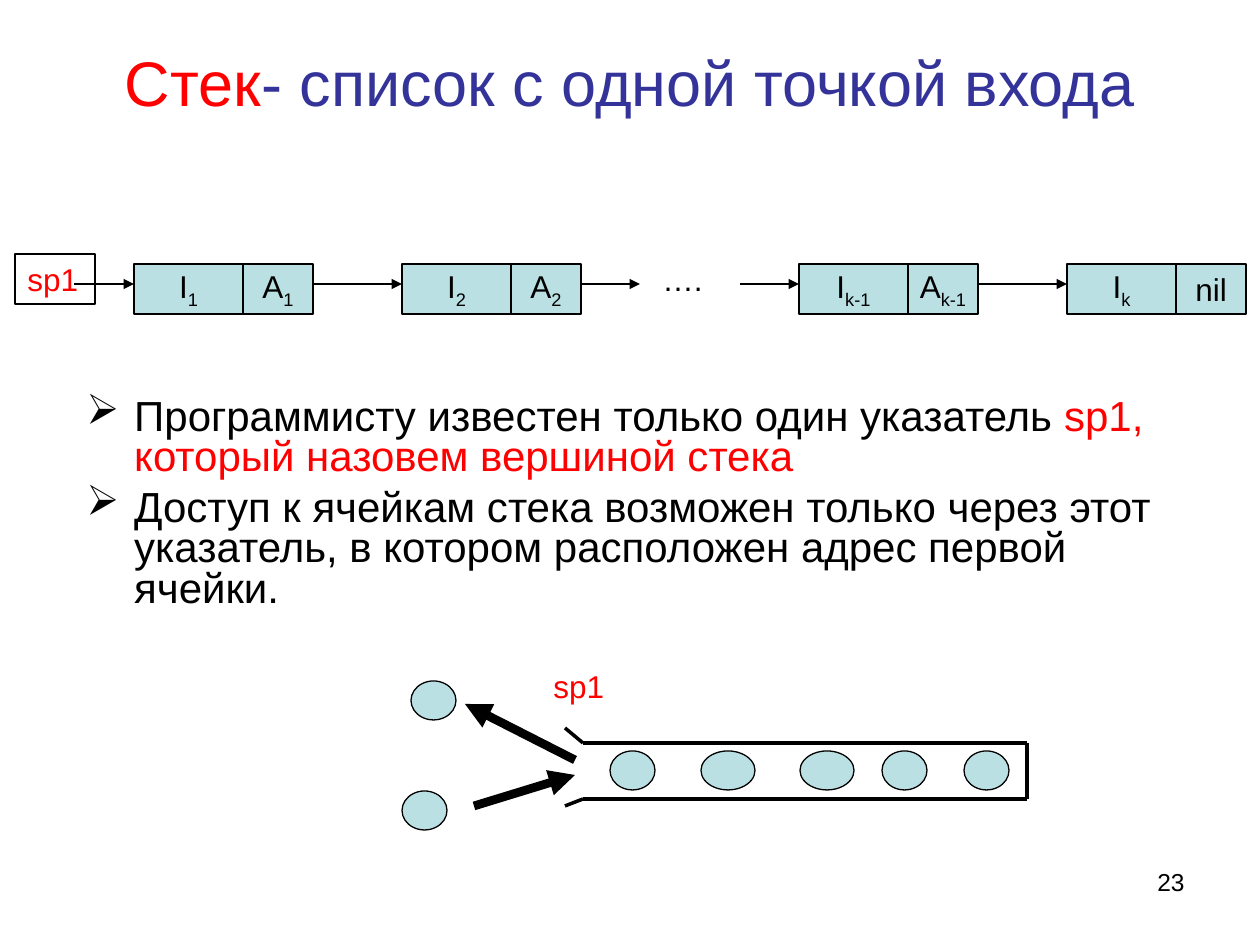
from dataclasses import dataclass

from lxml.etree import SubElement
from pptx import Presentation
from pptx.dml.color import RGBColor
from pptx.enum.shapes import MSO_CONNECTOR, MSO_SHAPE
from pptx.enum.text import MSO_ANCHOR as Anchor, MSO_AUTO_SIZE as AutoSize, PP_ALIGN as Align
from pptx.oxml.ns import qn
from pptx.util import Emu, Inches, Pt

PX_PER_INCH = 126


def px(value: int) -> Emu:
    return Emu(round(value * 914400 / PX_PER_INCH))


@dataclass(frozen=True)
class Theme:
    font: str = "Arial"
    black: RGBColor = RGBColor(0, 0, 0)
    red: RGBColor = RGBColor(0xFF, 0, 0)
    blue: RGBColor = RGBColor(0x33, 0x33, 0x99)
    cell: RGBColor = RGBColor(0xBB, 0xE0, 0xE3)
    title_size: int = 36
    body_size: int = 24
    label_size: int = 18
    number_size: int = 14
    outline: float = 0.75
    pointer: float = 1.5
    wall: float = 2
    move: float = 5


@dataclass(frozen=True)
class Box:
    left: int
    top: int
    width: int
    height: int

    def emu(self) -> tuple[Emu, Emu, Emu, Emu]:
        return px(self.left), px(self.top), px(self.width), px(self.height)


@dataclass(frozen=True)
class Run:
    text: str
    color: RGBColor
    subscript: bool = False


@dataclass(frozen=True)
class Node:
    left: int
    index: str
    link: str


@dataclass(frozen=True)
class Line:
    x1: int
    y1: int
    x2: int
    y2: int


THEME = Theme()
INFO_WIDTH, LINK_WIDTH = 109, 70
CELL_TOP, CELL_HEIGHT = 264, 50
POINTER_Y = 284
BALL_HEIGHT = 39

NODES = [
    Node(134, "1", "A"),
    Node(402, "2", "A"),
    Node(799, "k-1", "A"),
    Node(1067, "k", "nil"),
]
POINTERS = [(74, 134), (313, 402), (581, 640), (740, 799), (978, 1067)]
WALLS = [
    Line(583, 743, 1027, 743),
    Line(583, 799, 1027, 799),
    Line(583, 743, 565, 728),
    Line(583, 799, 565, 806),
    Line(1027, 743, 1027, 799),
]
MOVES = [Line(575, 760, 465, 704), Line(474, 806, 575, 775)]
BALLS = [
    Box(left, top, width, BALL_HEIGHT)
    for left, top, width in [
        (610, 751, 45), (701, 751, 54), (800, 751, 54), (882, 751, 45),
        (964, 751, 45), (411, 681, 45), (402, 791, 45),
    ]
]
BULLETS = [
    [
        Run("Программисту известен только один указатель ", THEME.black),
        Run("sp1, который назовем вершиной стека", THEME.red),
    ],
    [
        Run("Доступ к ячейкам стека возможен только через этот указатель, "
            "в котором расположен адрес первой ячейки.", THEME.black),
    ],
]


def write(paragraph, runs: list[Run], size: int, align: Align = Align.LEFT) -> None:
    paragraph.alignment = align
    paragraph.font.name = THEME.font
    paragraph.font.size = Pt(size)
    for item in runs:
        run = paragraph.add_run()
        run.text = item.text
        run.font.color.rgb = item.color
        if item.subscript:
            run.font._element.set("baseline", "-25000")


def style_shape(shape, filled: bool = True) -> None:
    shape.shadow.inherit = False
    if filled:
        shape.fill.solid()
        shape.fill.fore_color.rgb = THEME.cell
    else:
        shape.fill.background()
    shape.line.color.rgb = THEME.black
    shape.line.width = Pt(THEME.outline)


def add_cell(shapes, box: Box, runs: list[Run]) -> None:
    shape = shapes.add_shape(MSO_SHAPE.RECTANGLE, *box.emu())
    style_shape(shape)
    frame = shape.text_frame
    frame.word_wrap = False
    frame.vertical_anchor = Anchor.MIDDLE
    write(frame.paragraphs[0], runs, THEME.label_size, Align.CENTER)


def add_node(shapes, node: Node) -> None:
    """Draw a list cell: its information field and its link field."""
    index = Run(node.index, THEME.black, subscript=True)
    link = [Run(node.link, THEME.black)]
    if node.link != "nil":
        link.append(index)
    add_cell(shapes, Box(node.left, CELL_TOP, INFO_WIDTH, CELL_HEIGHT),
             [Run("I", THEME.black), index])
    add_cell(shapes, Box(node.left + INFO_WIDTH, CELL_TOP, LINK_WIDTH, CELL_HEIGHT), link)


def add_line(shapes, line: Line, width: float, arrow: bool = False) -> None:
    connector = shapes.add_connector(
        MSO_CONNECTOR.STRAIGHT, px(line.x1), px(line.y1), px(line.x2), px(line.y2))
    connector.line.color.rgb = THEME.black
    connector.line.width = Pt(width)
    if arrow:
        SubElement(connector.line._get_or_add_ln(), qn("a:tailEnd"), type="triangle")
    SubElement(connector._element.spPr, qn("a:effectLst"))


def add_label(shapes, box: Box, run: Run, size: int = THEME.label_size,
              align: Align = Align.LEFT):
    label = shapes.add_textbox(*box.emu())
    label.text_frame.word_wrap = True
    write(label.text_frame.paragraphs[0], [run], size, align)
    return label


def add_bullets(shapes, box: Box) -> None:
    frame = shapes.add_textbox(*box.emu()).text_frame
    frame.word_wrap = True
    for number, runs in enumerate(BULLETS):
        paragraph = frame.add_paragraph() if number else frame.paragraphs[0]
        properties = paragraph._p.get_or_add_pPr()
        properties.set("marL", str(Inches(0.38)))
        properties.set("indent", str(-Inches(0.38)))
        color = SubElement(properties, qn("a:buClr"))
        SubElement(color, qn("a:srgbClr"), val=str(THEME.black))
        SubElement(properties, qn("a:buChar"), char="➢")
        paragraph.line_spacing = 0.8
        if number:
            paragraph.space_before = Pt(6)
        write(paragraph, runs, THEME.body_size)


def add_title(title) -> None:
    title.left, title.top, title.width, title.height = Box(63, 38, 1134, 87).emu()
    frame = title.text_frame
    frame.auto_size = AutoSize.NONE
    frame.vertical_anchor = Anchor.MIDDLE
    write(frame.paragraphs[0],
          [Run("Стек", THEME.red), Run("- список с одной точкой входа", THEME.blue)],
          THEME.title_size, Align.CENTER)


def main() -> None:
    presentation = Presentation()
    presentation.slide_width, presentation.slide_height = Inches(10), Inches(7.5)
    slide = presentation.slides.add_slide(presentation.slide_layouts[5])
    shapes = slide.shapes

    add_title(shapes.title)
    add_bullets(shapes, Box(74, 393, 1134, 248))

    for node in NODES:
        add_node(shapes, node)
    for start, end in POINTERS:
        add_line(shapes, Line(start, POINTER_Y, end, POINTER_Y), THEME.pointer, arrow=True)
    add_label(shapes, Box(650, 254, 90, 50), Run("….", THEME.black))
    style_shape(add_label(shapes, Box(15, 254, 80, 50), Run("sp1", THEME.red)), filled=False)

    stack = shapes.add_group_shape().shapes
    for wall in WALLS:
        add_line(stack, wall, THEME.wall)
    for ball in BALLS:
        style_shape(stack.add_shape(MSO_SHAPE.OVAL, *ball.emu()))
    for move in MOVES:
        add_line(stack, move, THEME.move, arrow=True)

    add_label(shapes, Box(541, 661, 80, 50), Run("sp1", THEME.red))
    add_label(shapes, Box(903, 861, 294, 65), Run("23", THEME.black),
              THEME.number_size, Align.RIGHT)
    presentation.save("out.pptx")


if __name__ == "__main__":
    main()
